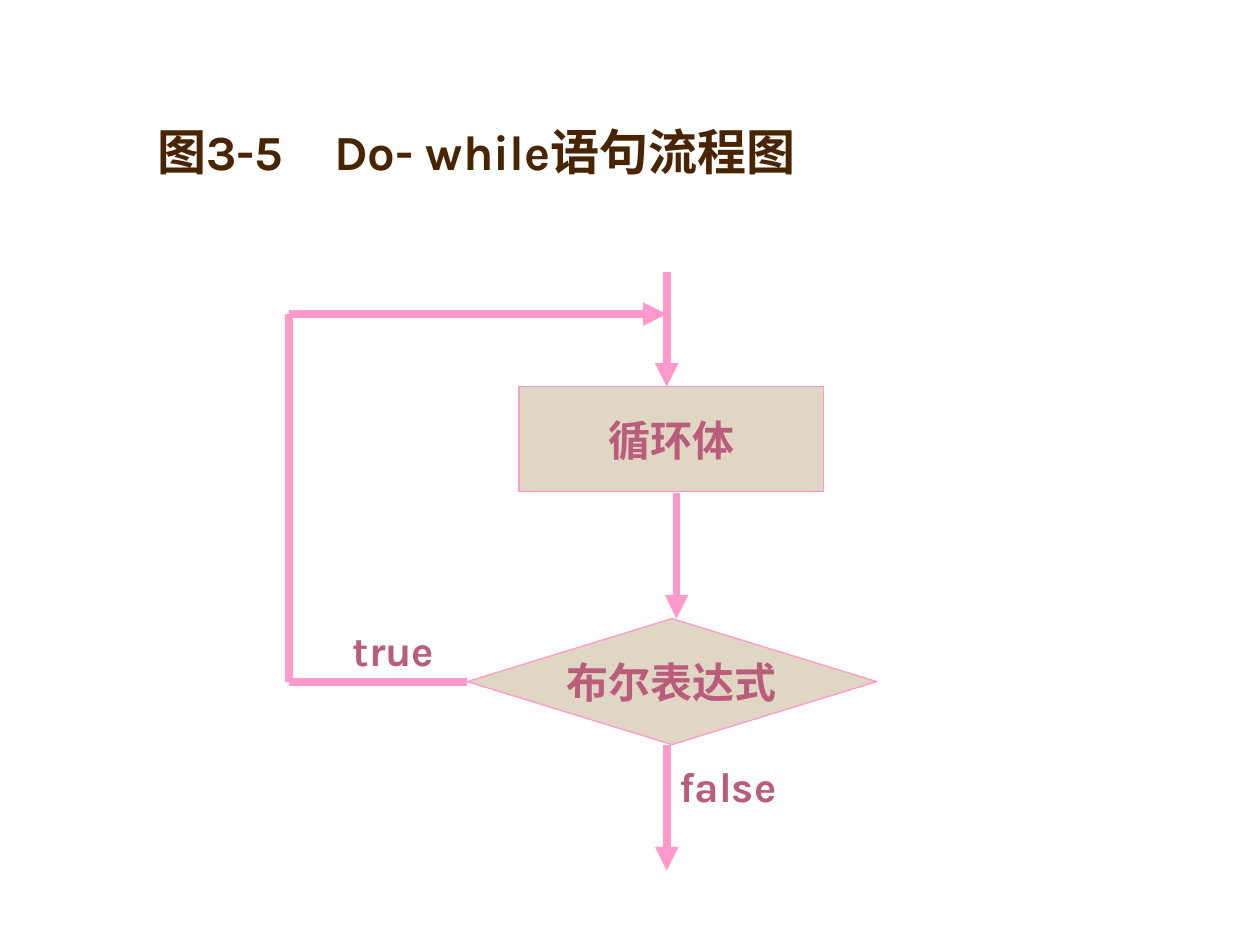
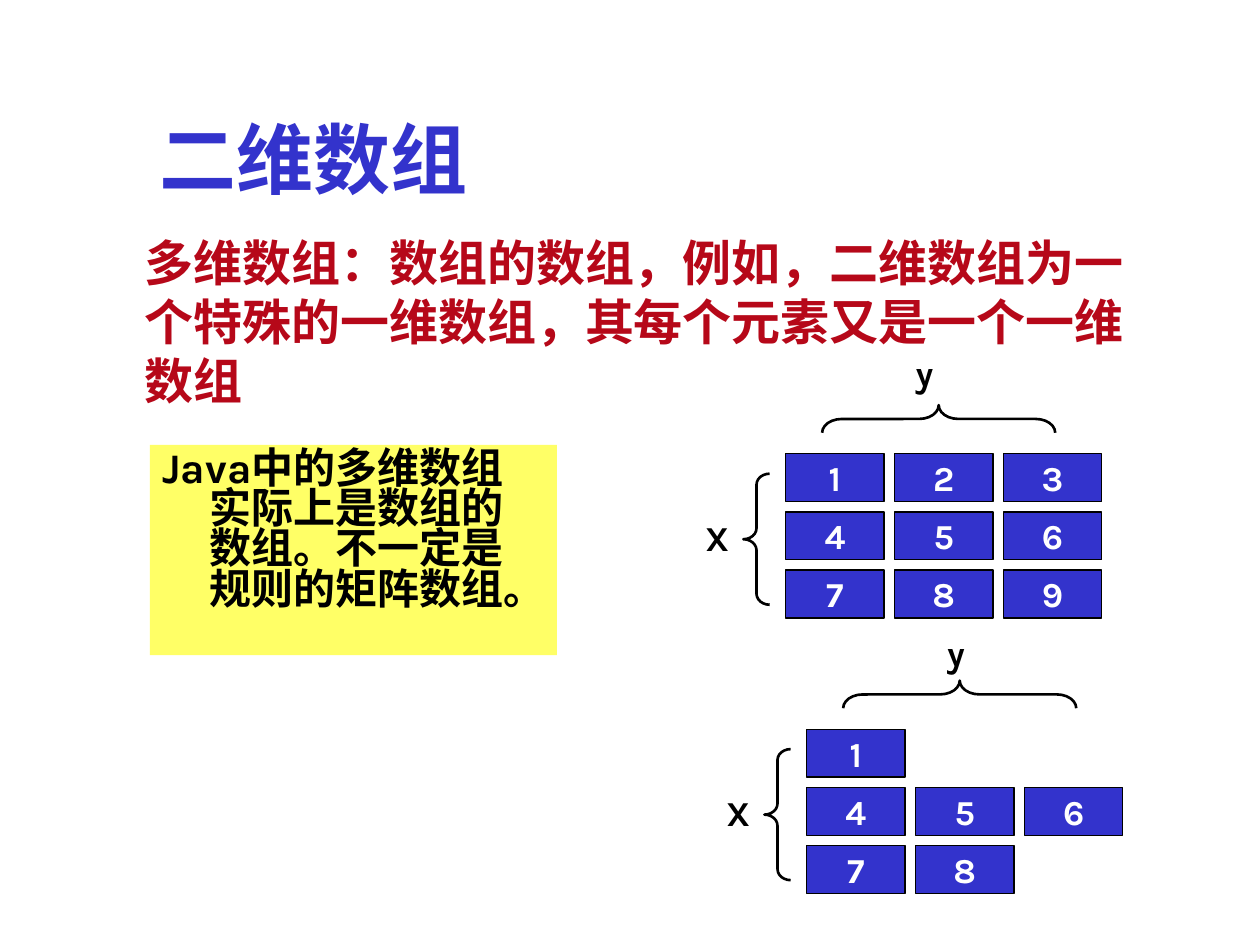
"""Build two teaching slides: a do-while flowchart and two-dimensional arrays."""
from lxml import etree
from pptx import Presentation
from pptx import util as u
from pptx.dml.color import RGBColor
from pptx.enum import shapes, text
from pptx.oxml.ns import qn

SHAPE = shapes.MSO_SHAPE
MIDDLE, BOTTOM = text.MSO_ANCHOR.MIDDLE, text.MSO_ANCHOR.BOTTOM
CENTER = text.PP_ALIGN.CENTER
KARLA, SERIF = "Karla", "Times New Roman"
PINK, ROSE, SAND = "FF99CC", "BA5C7B", "DFD6C3"
BLUE, BLACK, WHITE, YELLOW = "3333CC", "000000", "FFFFFF", "FFFF66"
BROWN, RED = "482400", "B60819"

FLOW_TITLE = "图3-5\tDo- while语句流程图"
FLOW_STEPS = [
    (SHAPE.FLOWCHART_DECISION, (267, 353.5, 234, 72), "布尔表达式"),
    (SHAPE.RECTANGLE, (296.6, 221, 174.2, 60), "循环体"),
]
FLOW_LINES = [
    ((381, 155.5), (381, 221), True),
    ((386.6, 281.5), (386.6, 353.5), True),
    ((267, 389.5), (165, 389.5), False),
    ((165, 179.5), (165, 389.5), False),
    ((165, 179.5), (381, 179.5), True),
    ((381, 425.5), (381, 497.5), True),
]
FLOW_LABELS = [((194.4, 353.5, 65.5, 36), "true"), ((381, 431.3, 71.3, 36), "false")]

ARRAY_TITLE = "二维数组"
ARRAY_TEXT = "多维数组：数组的数组，例如，二维数组为一个特殊的一维数组，其每个元素又是一个一维数组"
ARRAY_NOTE = "Java中的多维数组实际上是数组的数组。不一定是规则的矩阵数组。"
ARRAYS = [
    {"origin": (449, 259.3), "y_label": (67.2, -62), "rows": ["123", "456", "789"]},
    {"origin": (461, 416.7), "y_label": (73.2, -59.6), "rows": ["1", "456", "78"]},
]
CELL_SIZE, CELL_PITCH = (56.2, 27.4), (62.2, 33.2)
BRACES = [((-24.2, 11.4), (15, 74.9), 0, 0.42), ((79.5, -86.5), (15.8, 133.2), 90, 0.71)]
X_LABEL = (-53, 32.3)


def color(value):
    return RGBColor.from_string(value)


def points(values):
    return [u.Pt(value) for value in values]


def shift(origin, offset):
    return origin[0] + offset[0], origin[1] + offset[1]


def write(shape, words, size, ink, font=KARLA, wrap=True, hanging=0, tab=None, frame=None, layout=None):
    text_frame = shape.text_frame
    for name, value in {"word_wrap": wrap, **(frame or {})}.items():
        setattr(text_frame, name, value)
    paragraph = text_frame.paragraphs[0]
    properties = paragraph._p.get_or_add_pPr()
    if hanging:
        properties.set("marL", str(u.Pt(hanging)))
        properties.set("indent", str(-u.Pt(hanging)))
    if tab:
        tabs = etree.SubElement(properties, qn("a:tabLst"))
        etree.SubElement(tabs, qn("a:tab"), pos=str(u.Pt(tab)), algn="l")
    for name, value in (layout or {}).items():
        setattr(paragraph, name, value)
    run = paragraph.add_run()
    run.text = words
    for name, value in {"size": u.Pt(size), "bold": True, "name": font}.items():
        setattr(run.font, name, value)
    run.font.color.rgb = color(ink)


def add_text(slide, box, words, size, ink, **options):
    write(slide.shapes.add_textbox(*points(box)), words, size, ink, **options)


def add_label(slide, box, words, size, ink):
    frame = {"auto_size": text.MSO_AUTO_SIZE.SHAPE_TO_FIT_TEXT}
    add_text(slide, box, words, size, ink, wrap=False, frame=frame)


def add_shape(slide, kind, box, fill=None, line=None, width=0.75):
    shape = slide.shapes.add_shape(kind, *points(box))
    shape.shadow.inherit = False
    for part, value in ((shape.fill, fill), (shape.line.fill, line)):
        if value:
            part.solid()
            part.fore_color.rgb = color(value)
        else:
            part.background()
    if line:
        shape.line.width = u.Pt(width)
    return shape


def add_block(slide, kind, box, words, size, ink, fill, line, font=KARLA):
    shape = add_shape(slide, kind, box, fill, line)
    write(shape, words, size, ink, font, wrap=False,
          frame={"vertical_anchor": MIDDLE}, layout={"alignment": CENTER})


def add_line(slide, start, end, arrow):
    connector = slide.shapes.add_connector(shapes.MSO_CONNECTOR.STRAIGHT, *points(start + end))
    connector.line.color.rgb = color(PINK)
    connector.line.width = u.Pt(4.5)
    if arrow:
        etree.SubElement(connector.line._get_or_add_ln(), qn("a:tailEnd"), type="triangle")
    etree.SubElement(connector._element.spPr, qn("a:effectLst"))


def add_array(slide, origin, y_label, rows):
    for row, digits in enumerate(rows):
        for column, digit in enumerate(digits):
            place = shift(origin, (column * CELL_PITCH[0], row * CELL_PITCH[1]))
            add_block(slide, SHAPE.RECTANGLE, place + CELL_SIZE, digit, 20, WHITE, BLUE, BLACK)
    for offset, size, rotation, curve in BRACES:
        brace = add_shape(slide, SHAPE.LEFT_BRACE, shift(origin, offset) + size, line=BLACK, width=1.5)
        brace.rotation = rotation
        brace.adjustments[0] = curve
    for offset, width, letter in ((X_LABEL, 27.4, "X"), (y_label, 25.9, "y")):
        add_label(slide, shift(origin, offset) + (width, 31.7), letter, 20, BLACK)


def build_flowchart(slide):
    for kind, box, words in FLOW_STEPS:
        add_block(slide, kind, box, words, 24, ROSE, SAND, PINK, SERIF)
    for start, end, arrow in FLOW_LINES:
        add_line(slide, start, end, arrow)
    for box, words in FLOW_LABELS:
        add_label(slide, box, words, 24, ROSE)
    add_text(slide, (82.8, 65.5, 426.2, 41), FLOW_TITLE, 28, BROWN, tab=101,
             frame={"vertical_anchor": BOTTOM})


def build_arrays(slide):
    add_text(slide, (84.2, 30.2, 612, 90), ARRAY_TITLE, 44, BLUE, font=SERIF,
             frame={"vertical_anchor": BOTTOM})
    add_text(slide, (75.6, 129.6, 584.6, 324), ARRAY_TEXT, 28, RED, font=SERIF)
    note = add_shape(slide, SHAPE.RECTANGLE, (85.7, 254.2, 232.6, 120.2), YELLOW)
    write(note, ARRAY_NOTE, 24, BLACK, hanging=27,
          frame={"vertical_anchor": text.MSO_ANCHOR.TOP},
          layout={"line_spacing": 0.8, "alignment": text.PP_ALIGN.LEFT})
    for array in ARRAYS:
        add_array(slide, **array)


def main():
    presentation = Presentation()
    presentation.slide_width, presentation.slide_height = points((720, 540))
    for build in (build_flowchart, build_arrays):
        build(presentation.slides.add_slide(presentation.slide_layouts[6]))
    presentation.save("out.pptx")


if __name__ == "__main__":
    main()
